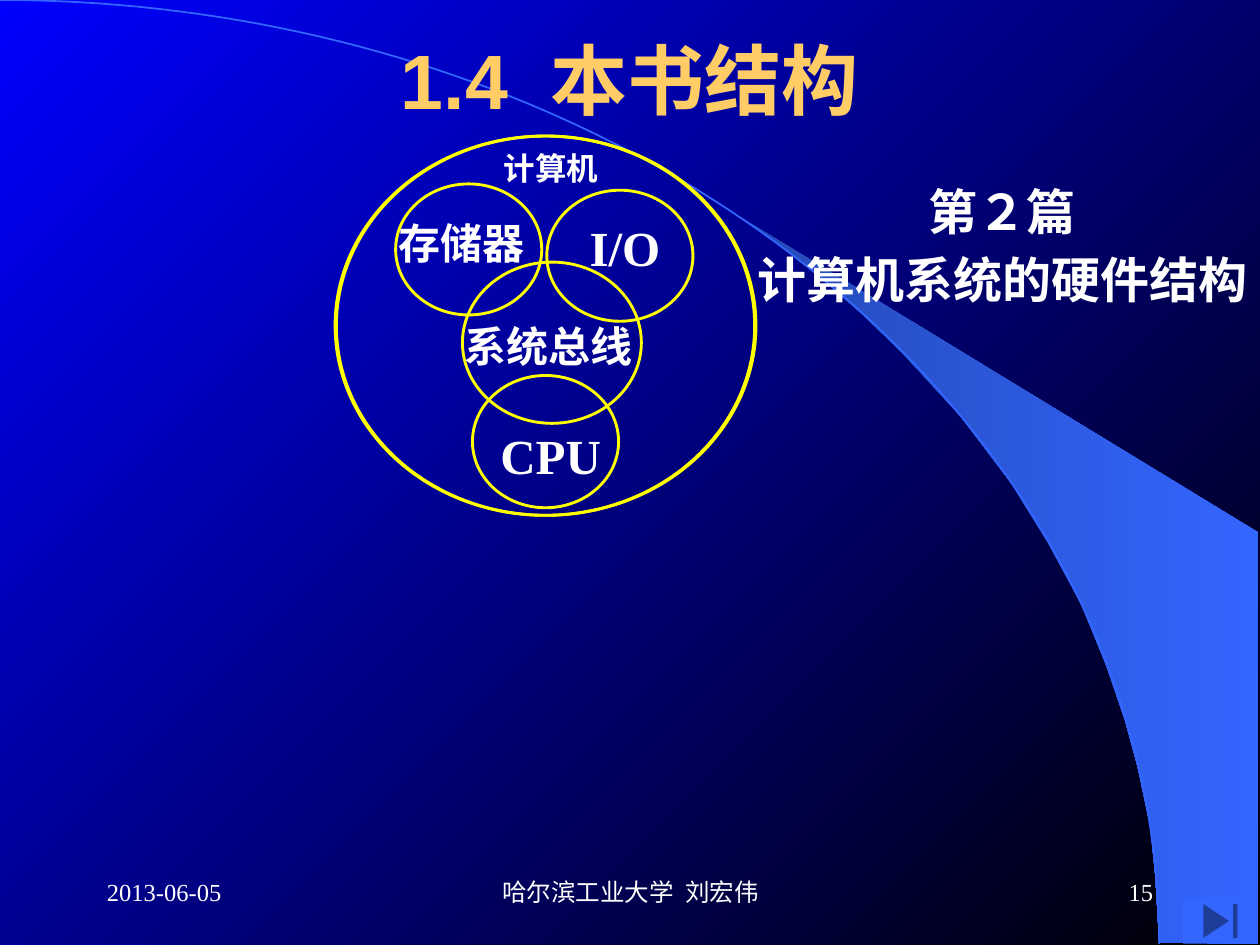
import math
import pptx
import pptx.util
import pptx.dml.color
import pptx.enum.shapes
import pptx.enum.text
import pptx.oxml.ns
import lxml.etree

Inches = pptx.util.Inches
Pt = pptx.util.Pt
RGBColor = pptx.dml.color.RGBColor
Shape = pptx.enum.shapes.MSO_SHAPE
Align = pptx.enum.text.PP_ALIGN
Anchor = pptx.enum.text.MSO_ANCHOR

WHITE = RGBColor(0xFF, 0xFF, 0xFF)
BLACK = RGBColor(0, 0, 0)
BLUE = RGBColor(0, 0, 0xFF)
DEEP = RGBColor(0x24, 0x49, 0xB6)
SKY = RGBColor(0x33, 0x66, 0xFF)
YELLOW = RGBColor(0xFF, 0xFF, 0)
GOLD = RGBColor(0xFF, 0xCC, 0x66)

LATIN = "Times New Roman"
CHINESE = "Noto Sans CJK SC"


def assign(target, values):
    for name, value in values.items():
        setattr(target, name, value)


class SlideBuilder:
    ring_width = Pt(1.63)
    curve_width = Pt(1)

    def __init__(self, page):
        self.page = page

    def gradient(self, fill, colors, angle):
        fill.gradient()
        fill.gradient_angle = angle
        for position, (stop, color) in enumerate(zip(fill.gradient_stops, colors)):
            stop.position = position
            stop.color.rgb = color

    def outline(self, points, closed):
        start, *rest = [(Inches(x), Inches(y)) for x, y in points]
        builder = self.page.shapes.build_freeform(*start)
        builder.add_line_segments(rest, close=closed)
        shape = builder.convert_to_shape()
        shape.shadow.inherit = False
        return shape

    def band(self, points, colors):
        shape = self.outline(points, True)
        self.gradient(shape.fill, colors, 0)
        shape.line.fill.background()

    def curve(self, points, color):
        shape = self.outline(points, False)
        shape.fill.background()
        shape.line.color.rgb = color
        shape.line.width = self.curve_width

    def ring(self, place):
        shape = self.page.shapes.add_shape(Shape.OVAL, *map(Inches, place))
        shape.shadow.inherit = False
        shape.fill.background()
        shape.line.color.rgb = YELLOW
        shape.line.width = self.ring_width

    def button(self, place, color):
        shape = self.page.shapes.add_shape(Shape.ACTION_BUTTON_END, *map(Inches, place))
        shape.shadow.inherit = False
        shape.fill.solid()
        shape.fill.fore_color.rgb = color
        shape.line.fill.background()

    def fill_text(self, frame, lines, size, font, color, bold, align, before=0):
        for index, line in enumerate(lines):
            para = frame.paragraphs[0] if index == 0 else frame.add_paragraph()
            assign(para, {"alignment": align, "space_before": Pt(before)})
            span = para.add_run()
            span.text = line
            assign(span.font, {"size": Pt(size), "name": font, "bold": bold})
            span.font.color.rgb = color
            east = lxml.etree.SubElement(span.font._element, pptx.oxml.ns.qn("a:ea"))
            east.set("typeface", CHINESE)

    def title(self, place, text):
        box = self.page.shapes.title
        self.page.shapes._spTree.append(box._element)
        assign(box, dict(zip(("left", "top", "width", "height"), map(Inches, place))))
        box.text_frame.vertical_anchor = Anchor.MIDDLE
        self.fill_text(box.text_frame, [text], 44, "Arial", GOLD, True, Align.CENTER)

    def label(self, place, lines, size, font, align=Align.CENTER, inset=0, wrap=False):
        box = self.page.shapes.add_textbox(*map(Inches, place))
        margins = dict.fromkeys(("margin_left", "margin_right"), Inches(inset))
        margins.update(dict.fromkeys(("margin_top", "margin_bottom"), Inches(inset / 2)))
        assign(box.text_frame, {"word_wrap": wrap, **margins})
        self.fill_text(box.text_frame, lines, size, font, WHITE, True, align, size * 0.2)

    def footer(self, place, text, align):
        box = self.page.shapes.add_textbox(*map(Inches, place))
        assign(box.text_frame, {"word_wrap": True, "vertical_anchor": Anchor.MIDDLE})
        self.fill_text(box.text_frame, [text], 14, LATIN, WHITE, False, align)


def main():
    deck = pptx.Presentation()
    assign(deck, {"slide_width": Inches(10), "slide_height": Inches(7.5)})
    page = deck.slides.add_slide(deck.slide_layouts[5])
    slide = SlideBuilder(page)
    slide.gradient(page.background.fill, (BLUE, BLACK), 315)

    slide.band([
        (9.2, 7.48), (9.99, 7.49), (9.99, 4.23), (5.89, 1.73), (6.24, 1.99),
        (6.53, 2.22), (6.85, 2.5), (7.16, 2.8), (7.62, 3.3), (8.03, 3.84),
        (8.32, 4.31), (8.58, 4.79), (8.78, 5.28), (8.93, 5.72), (9.03, 6.09),
        (9.13, 6.56), (9.17, 6.96)], (DEEP, SKY))
    steps = 90
    angles = [math.pi / 2 * step / steps for step in range(steps + 1)]
    slide.curve([(9.2 * math.sin(a), 7.49 * (1 - math.cos(a))) for a in angles], SKY)

    slide.title((0.75, 0, 8.5, 1.25), "1.4  本书结构")
    slide.label((5.91, 1.39, 4.09, 1.13), ["第２篇", "计算机系统的硬件结构"],
                28, CHINESE, inset=0.1)

    for place in (
        (2.66, 1.08, 3.33, 3.01),
        (2.67, 1.08, 3.33, 3.01),
        (3.67, 2.08, 1.42, 1.28),
        (3.14, 1.46, 1.16, 1.04),
        (4.34, 1.51, 1.16, 1.04),
        (3.75, 2.98, 1.16, 1.05),
    ):
        slide.ring(place)

    slide.label((4, 1.18, 0.76, 0.3), ["计算机"], 18, CHINESE, Align.LEFT)
    slide.label((3.16, 1.73, 1.01, 0.4), ["存储器"], 24, CHINESE, Align.LEFT)
    slide.label((4.55, 1.73, 0.82, 0.47), ["I/O"], 28, LATIN, wrap=True)
    slide.label((3.68, 2.54, 1.35, 0.4), ["系统总线"], 24, CHINESE)
    slide.label((3.97, 3.38, 0.8, 0.47), ["CPU"], 28, LATIN)

    slide.button((9.39, 7.13, 0.59, 0.36), SKY)
    for left, width, text, align in (
        (0.75, 2.08, "2013-06-05", Align.LEFT),
        (7.17, 2.08, "15", Align.RIGHT),
        (3.42, 3.17, "哈尔滨工业大学  刘宏伟", Align.CENTER),
    ):
        slide.footer((left, 6.83, width, 0.5), text, align)

    deck.save("out.pptx")


if __name__ == "__main__":
    main()
